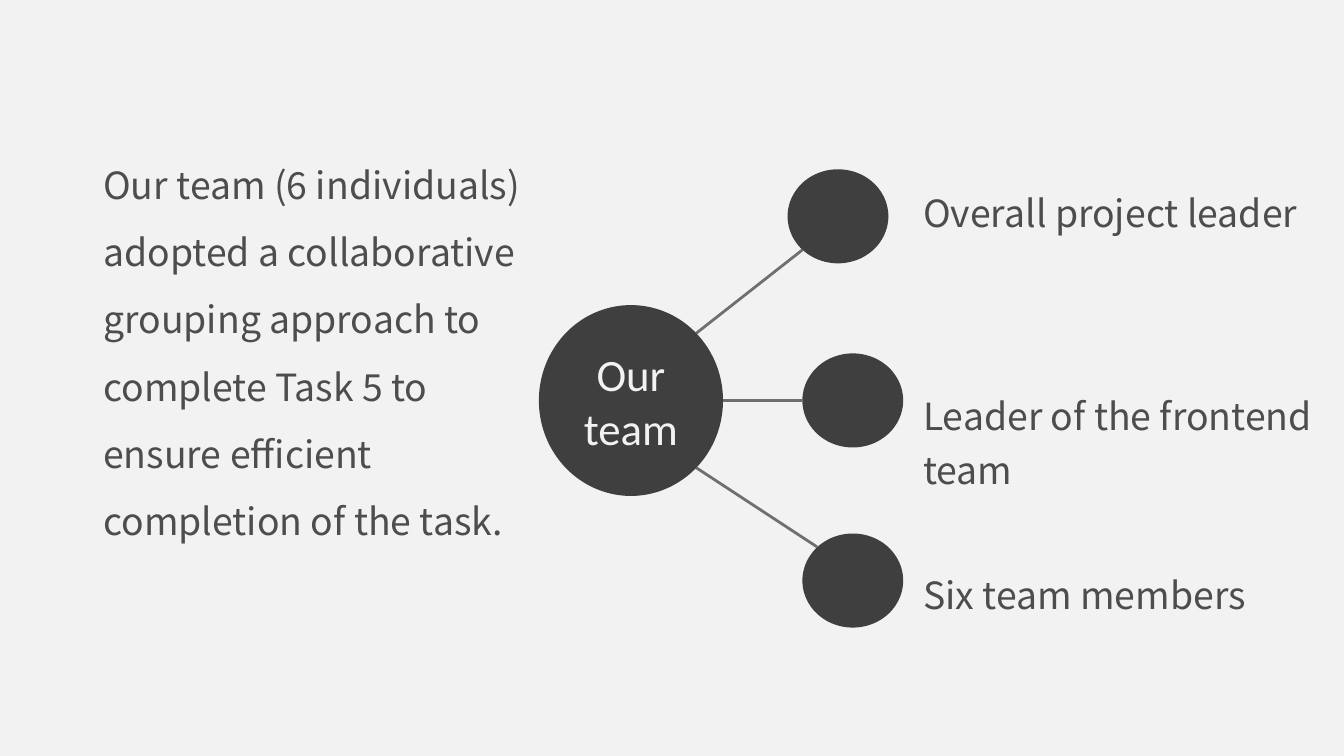
import pptx
import pptx.util
import pptx.dml.color
import pptx.enum.shapes
import pptx.enum.text
import pptx.oxml.ns
import lxml.etree

Inches = pptx.util.Inches
Pt = pptx.util.Pt


def color(value):
    return pptx.dml.color.RGBColor.from_string(value)


def write(s, text, size, font, ink, spacing=None):
    tf = s.text_frame
    tf.word_wrap = True
    tf.text = text
    p = tf.paragraphs[0]
    if spacing:
        p.line_spacing = spacing
    r = p.runs[0]
    r.font.size = Pt(size)
    r.font.name = font
    r.font.color.rgb = color(ink)
    return tf


prs = pptx.Presentation()
prs.slide_width = Inches(10)
prs.slide_height = Inches(10 * 9 / 16)
slide = prs.slides.add_slide(prs.slide_layouts[6])
slide.background.fill.solid()
slide.background.fill.fore_color.rgb = color("F2F2F2")

spokes = [
    (5.18, 2.48, 5.97, 1.86),
    (5.18, 3.48, 6.08, 4.07),
    (5.38, 2.98, 5.97, 2.98),
]
for spoke in spokes:
    line = slide.shapes.add_connector(
        pptx.enum.shapes.MSO_CONNECTOR.STRAIGHT, *[Inches(v) for v in spoke])
    line.line.color.rgb = color("6F6F6F")
    line.line.width = Pt(1.5)
    lxml.etree.SubElement(line._element.spPr, pptx.oxml.ns.qn("a:effectLst"))

circles = [
    (4.01, 2.27, 1.37, 1.42, "Our team"),
    (5.86, 1.26, 0.75, 0.7, ""),
    (5.97, 2.63, 0.75, 0.7, ""),
    (5.97, 3.97, 0.75, 0.7, ""),
]
for left, top, width, height, text in circles:
    s = slide.shapes.add_shape(
        pptx.enum.shapes.MSO_SHAPE.OVAL,
        Inches(left), Inches(top), Inches(width), Inches(height))
    s.shadow.inherit = False
    s.fill.solid()
    s.fill.fore_color.rgb = color("3F3F3F")
    s.line.fill.background()
    if text:
        tf = write(s, text, 24, "Calibri", "F2F2F2")
        tf.vertical_anchor = pptx.enum.text.MSO_ANCHOR.MIDDLE
        tf.paragraphs[0].alignment = pptx.enum.text.PP_ALIGN.CENTER

roles = [
    (1.3, 3.48, 0.5, "Overall project leader"),
    (2.81, 3.48, 0.91, "Leader of the frontend team"),
    (4.14, 3.79, 0.5, "Six team members"),
]
for top, width, height, text in roles:
    s = slide.shapes.add_textbox(
        Inches(6.77), Inches(top), Inches(width), Inches(height))
    tf = write(s, text, 20, "Noto Sans CJK SC", "4D4D4D", 1.2)
    tf.auto_size = pptx.enum.text.MSO_AUTO_SIZE.SHAPE_TO_FIT_TEXT

s = slide.shapes.add_textbox(Inches(0.67), Inches(0.99), Inches(3.43), Inches(3.15))
write(s, "Our team (6 individuals) adopted a collaborative grouping approach to "
         "complete Task 5 to ensure efficient completion of the task.",
      20, "Noto Sans CJK SC", "4D4D4D", 1.5)

prs.save("out.pptx")
